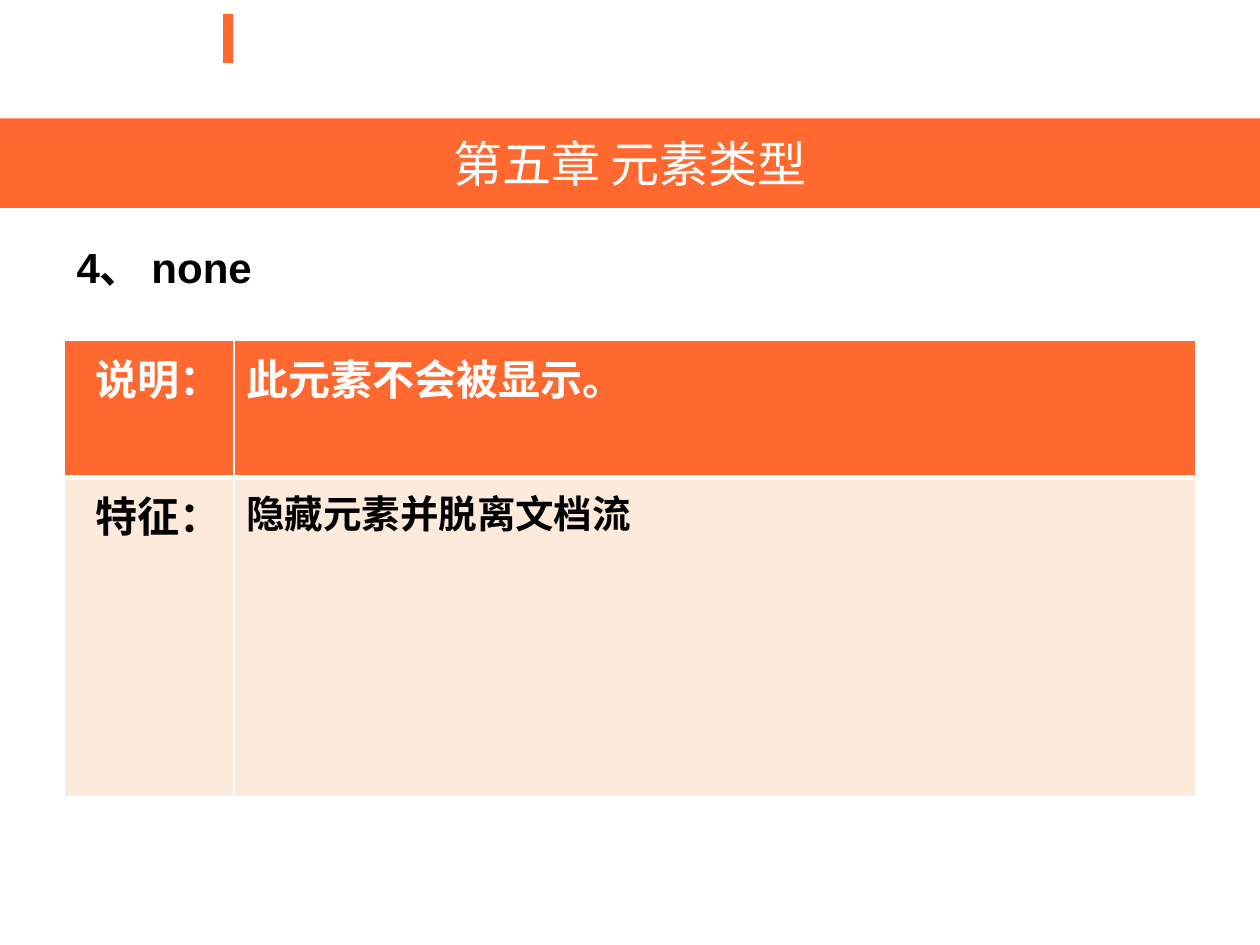
from pptx import Presentation
from pptx.dml.color import RGBColor
from pptx.enum.shapes import MSO_SHAPE
from pptx.enum.text import MSO_ANCHOR, PP_ALIGN
from pptx.oxml.ns import qn
from pptx.util import Inches, Pt
from lxml.etree import SubElement

ORANGE, CREAM, WHITE, BLACK = "FF682F", "FDEADA", "FFFFFF", "000000"
TITLE = "第五章 元素类型"
HEADING = "4、 none"
ROWS = [
    # label, text, text size, fill, font colour, height
    ("说明：", "此元素不会被显示。", 24, ORANGE, WHITE, 1.09),
    ("特征：", "隐藏元素并脱离文档流", 22, CREAM, BLACK, 2.53),
]
LABEL_SHARE = 0.15
THIN, THICK = 1, 3


def rgb(value):
    return RGBColor.from_string(value)


def write(frame, text, size, color, bold=False, align=PP_ALIGN.LEFT):
    para = frame.paragraphs[0]
    para.text = text
    para.alignment = align
    para.font.name = "Arial"
    para.font.size = Pt(size)
    para.font.bold = bold
    para.font.color.rgb = rgb(color)
    return para


def add_bar(page, box):
    bar = page.shapes.add_shape(MSO_SHAPE.RECTANGLE, *map(Inches, box))
    bar.shadow.inherit = False
    bar.fill.solid()
    bar.fill.fore_color.rgb = rgb(ORANGE)
    bar.line.fill.background()
    return bar


def add_title_band(page, box):
    frame = add_bar(page, box).text_frame
    frame.vertical_anchor = MSO_ANCHOR.MIDDLE
    write(frame, TITLE, 28, WHITE, align=PP_ALIGN.CENTER)


def add_heading(page, box):
    frame = page.shapes.add_textbox(*map(Inches, box)).text_frame
    frame.word_wrap = True
    write(frame, HEADING, 24, BLACK, bold=True).space_before = Pt(6)


def set_borders(cell, top, bottom):
    """Draw white cell borders; widths are in points."""
    properties = cell._tc.get_or_add_tcPr()
    widths = {"a:lnL": THIN, "a:lnR": THIN, "a:lnT": top, "a:lnB": bottom}
    for tag, width in widths.items():
        line = SubElement(properties, qn(tag), w=str(Pt(width)))
        fill = SubElement(line, qn("a:solidFill"))
        SubElement(fill, qn("a:srgbClr"), val=WHITE)


def add_description_table(page, box):
    table = page.shapes.add_table(len(ROWS), 2, *map(Inches, box)).table
    width = box[2]
    table.columns[0].width = Inches(width * LABEL_SHARE)
    table.columns[1].width = Inches(width * (1 - LABEL_SHARE))
    for index, (label, text, size, fill, color, height) in enumerate(ROWS):
        table.rows[index].height = Inches(height)
        top, bottom = (THIN, THICK) if index == 0 else (THICK, THIN)
        contents = [(label, 24, PP_ALIGN.RIGHT), (text, size, PP_ALIGN.LEFT)]
        for cell, (words, points, align) in zip(table.rows[index].cells, contents):
            write(cell.text_frame, words, points, color, True, align)
            set_borders(cell, top, bottom)
            cell.fill.solid()
            cell.fill.fore_color.rgb = rgb(fill)


def main():
    deck = Presentation()
    deck.slide_width, deck.slide_height = Inches(10), Inches(7.5)
    page = deck.slides.add_slide(deck.slide_layouts[6])
    add_bar(page, (1.77, 0.11, 0.08, 0.39))
    add_title_band(page, (0, 0.94, 10, 0.71))
    add_heading(page, (0.51, 1.87, 9, 0.6))
    add_description_table(page, (0.51, 2.7, 8.98, 3.62))
    deck.save("out.pptx")


if __name__ == "__main__":
    main()
